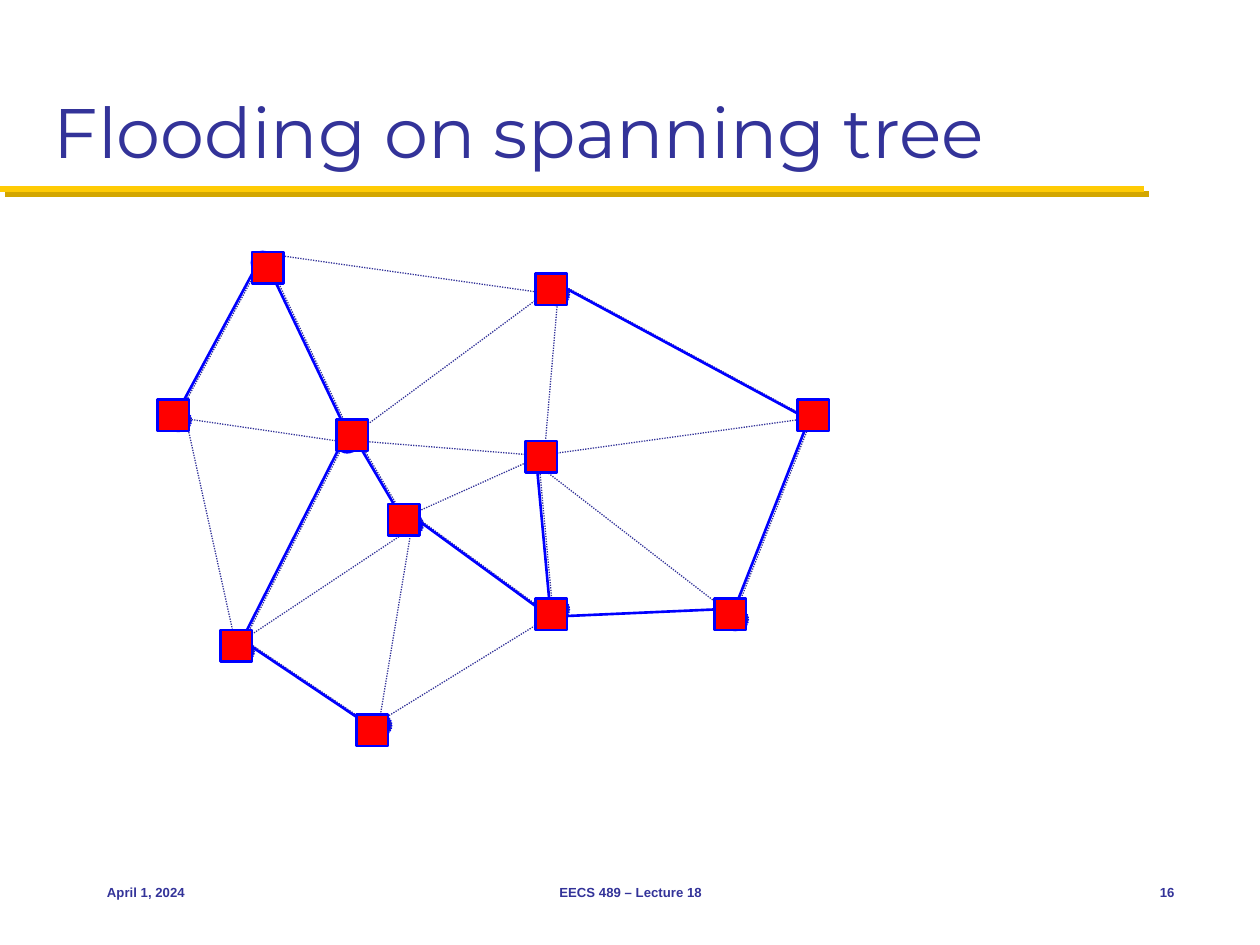
"""Build a slide that shows flooding on the spanning tree of a network."""
from lxml.etree import SubElement
from pptx import Presentation
from pptx.dml.color import RGBColor
from pptx.enum.dml import MSO_LINE
from pptx.enum.shapes import MSO_CONNECTOR, MSO_SHAPE
from pptx.enum.text import MSO_ANCHOR, PP_ALIGN
from pptx.oxml.ns import qn
from pptx.util import Inches, Pt

NAVY = RGBColor(0x33, 0x33, 0x99)
BLUE = RGBColor(0x00, 0x00, 0xFF)
RED = RGBColor(0xFF, 0x00, 0x00)
GOLD = RGBColor(0xFF, 0xCB, 0x05)
DARK_GOLD = RGBColor(0xD3, 0xA6, 0x00)

DOT_SIZE = 0.17
SQUARE_SIZE = 0.25
NETWORK_SHIFT = 0.02

DOTS = [
    (2, 2), (1.33, 3.25), (4.33, 2.25), (4.33, 4.75), (2.92, 5.67), (2.67, 3.42),
    (6.33, 3.17), (3.17, 4.08), (1.83, 5.08), (4.17, 3.58), (5.75, 4.83),
]
SQUARES = [
    (2.67, 3.33), (3.08, 4), (1.75, 5), (2, 2), (1.25, 3.17), (2.83, 5.67),
    (4.25, 4.75), (5.67, 4.75), (4.17, 3.5), (6.33, 3.17), (4.25, 2.17),
]
TREE_LINKS = [
    (2.14, 2.14, 2.75, 3.42), (2.02, 2.14, 1.42, 3.25), (2.83, 3.5, 3.19, 4.11),
    (4.42, 2.25, 6.42, 3.33), (6.42, 3.33, 5.83, 4.83), (1.92, 5.08, 2.92, 5.75),
    (3.25, 4.08, 4.36, 4.89), (5.83, 4.83, 4.48, 4.89), (4.25, 3.58, 4.36, 4.77),
    (1.92, 5.08, 2.69, 3.56),
]
OTHER_LINKS = [
    (1.47, 3.39, 1.85, 5.11), (4.3, 3.73, 5.79, 4.88), (4.41, 2.33, 4.3, 3.61),
    (3.25, 4.17, 3, 5.67), (2.83, 3.5, 4.19, 3.61), (1.5, 3.33, 2.66, 3.5),
    (1.91, 5.08, 3.19, 4.23), (3.05, 5.69, 4.35, 4.89), (3.25, 4.08, 4.16, 3.67),
    (4.3, 3.61, 6.47, 3.31), (2.14, 2.02, 4.33, 2.33), (2.8, 3.44, 4.41, 2.25),
]


def style_line(line, color, width, dash=None):
    """Set the colour, width and dash of a line."""
    line.color.rgb = color
    line.width = Pt(width)
    if dash is not None:
        line.dash_style = dash


def add_link(shapes, ends, color, width, dash=None):
    """Add a straight link without shadow and return its empty effect list."""
    link = shapes.add_connector(MSO_CONNECTOR.STRAIGHT, *map(Inches, ends))
    style_line(link.line, color, width, dash)
    return SubElement(link._element.spPr, qn("a:effectLst"))


def add_node(shapes, kind, left, top, size, fill, width, dash=None):
    """Add a filled node with a blue outline."""
    node = shapes.add_shape(kind, Inches(left), Inches(top), Inches(size), Inches(size))
    node.shadow.inherit = False
    node.fill.solid()
    node.fill.fore_color.rgb = fill
    style_line(node.line, BLUE, width, dash)


def add_graph(shapes, links, link_color, width, shift=0, dash=None):
    """Add the round nodes and the given links, moved right by shift."""
    for left, top in DOTS:
        add_node(shapes, MSO_SHAPE.OVAL, left + shift, top, DOT_SIZE, NAVY, width, dash)
    for x1, y1, x2, y2 in links:
        add_link(shapes, (x1 + shift, y1, x2 + shift, y2), link_color, width, dash)


def add_text(page, area, text, font, size, bold=False, align=PP_ALIGN.LEFT,
             anchor=MSO_ANCHOR.MIDDLE):
    """Add one line of navy text."""
    box = page.shapes.add_textbox(*map(Inches, area))
    frame = box.text_frame
    frame.word_wrap = True
    frame.vertical_anchor = anchor
    para = frame.paragraphs[0]
    para.alignment = align
    span = para.add_run()
    span.text = text
    span.font.name = font
    span.font.size = Pt(size)
    span.font.bold = bold
    span.font.color.rgb = NAVY


def add_title_rule(page):
    """Add the gold rule with its darker shadow."""
    effects = add_link(page.shapes, (0, 1.5, 9.08, 1.5), GOLD, 3.5)
    shadow = SubElement(effects, qn("a:outerShdw"), dist=str(Pt(4.2)),
                        dir=str(45 * 60000), algn="ctr", rotWithShape="0")
    SubElement(shadow, qn("a:srgbClr"), val=str(DARK_GOLD))


def main():
    """Build and save the slide."""
    deck = Presentation()
    deck.slide_width, deck.slide_height = Inches(10), Inches(7.5)
    page = deck.slides.add_slide(deck.slide_layouts[6])

    add_title_rule(page)
    network = page.shapes.add_group_shape()
    add_graph(network.shapes, TREE_LINKS + OTHER_LINKS, NAVY, 0.75,
              NETWORK_SHIFT, MSO_LINE.ROUND_DOT)
    add_text(page, (0.33, 0.17, 9.33, 1.25), "Flooding on spanning tree",
             "Montserrat", 40, anchor=MSO_ANCHOR.BOTTOM)
    add_graph(page.shapes, TREE_LINKS, BLUE, 1.5)
    for left, top in SQUARES:
        add_node(page.shapes, MSO_SHAPE.RECTANGLE, left, top, SQUARE_SIZE, RED, 1.5)

    footers = [
        (0.75, 2.08, "April 1, 2024", PP_ALIGN.LEFT),
        (3.42, 3.17, "EECS 489 – Lecture 18", PP_ALIGN.CENTER),
        (8.75, 0.67, "16", PP_ALIGN.RIGHT),
    ]
    for left, width, text, align in footers:
        add_text(page, (left, 6.83, width, 0.5), text, "Arial", 7.5, True, align)
    deck.save("out.pptx")


if __name__ == "__main__":
    main()
